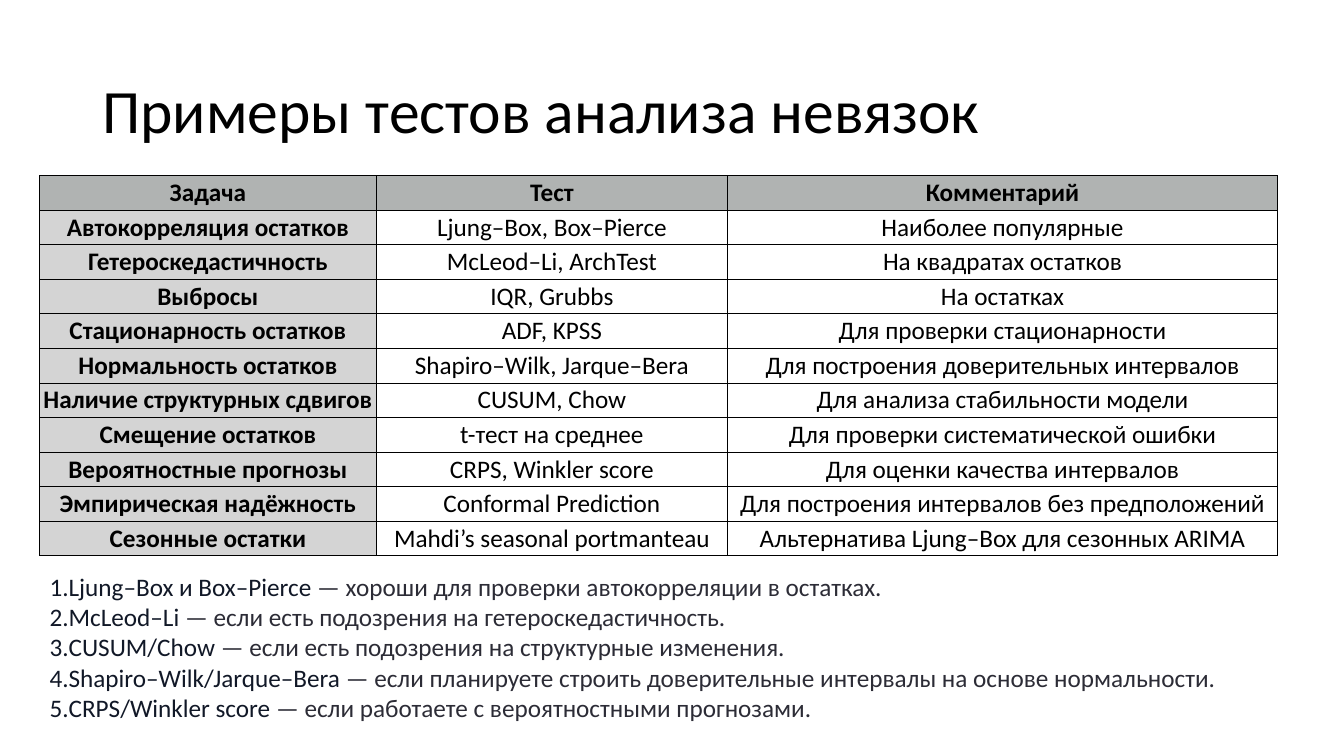
from lxml.etree import SubElement
from pptx import Presentation
from pptx.dml.color import RGBColor
from pptx.enum.text import MSO_ANCHOR, PP_ALIGN
from pptx.oxml.ns import qn
from pptx.util import Cm, Pt

BLACK = RGBColor(0x00, 0x00, 0x00)
HEAD = RGBColor(0xB0, 0xB3, 0xB2)
SIDE = RGBColor(0xD4, 0xD4, 0xD4)
NAVY = RGBColor(0x11, 0x18, 0x27)
GRAY = RGBColor(0x2C, 0x2C, 0x36)

ROWS = [
    ("Задача", "Тест", "Комментарий"),
    ("Автокорреляция остатков", "Ljung–Box, Box–Pierce", "Наиболее популярные"),
    ("Гетероскедастичность", "McLeod–Li, ArchTest", "На квадратах остатков"),
    ("Выбросы", "IQR, Grubbs", "На остатках"),
    ("Стационарность остатков", "ADF, KPSS", "Для проверки стационарности"),
    ("Нормальность остатков", "Shapiro–Wilk, Jarque–Bera", "Для построения доверительных интервалов"),
    ("Наличие структурных сдвигов", "CUSUM, Chow", "Для анализа стабильности модели"),
    ("Смещение остатков", "t-тест на среднее", "Для проверки систематической ошибки"),
    ("Вероятностные прогнозы", "CRPS, Winkler score", "Для оценки качества интервалов"),
    ("Эмпирическая надёжность", "Conformal Prediction", "Для построения интервалов без предположений"),
    ("Сезонные остатки", "Mahdi’s seasonal portmanteau", "Альтернатива Ljung–Box для сезонных ARIMA"),
]
WIDTHS = [8.48, 8.86, 13.85]
NOTES = [
    ("Ljung–Box и Box–Pierce", "хороши для проверки автокорреляции в остатках."),
    ("McLeod–Li", "если есть подозрения на гетероскедастичность."),
    ("CUSUM/Chow", "если есть подозрения на структурные изменения."),
    ("Shapiro–Wilk/Jarque–Bera", "если планируете строить доверительные интервалы на основе нормальности."),
    ("CRPS/Winkler score", "если работаете с вероятностными прогнозами."),
]


def style(para, size, bold=False):
    para.font.name = "Calibri"
    para.font.size = Pt(size)
    para.font.bold = bold
    para.font.color.rgb = BLACK


def border(cell):
    props = cell._tc.get_or_add_tcPr()
    for side in ("lnL", "lnR", "lnT", "lnB"):
        line = SubElement(props, qn("a:" + side), w=str(Pt(0.75)))
        fill = SubElement(line, qn("a:solidFill"))
        SubElement(fill, qn("a:srgbClr"), val=str(BLACK))


deck = Presentation()
deck.slide_width, deck.slide_height = Cm(33.87), Cm(19.05)
slide = deck.slides.add_slide(deck.slide_layouts[6])

# Title
title = slide.shapes.add_textbox(Cm(2.33), Cm(1.01), Cm(29.21), Cm(3.68)).text_frame
title.word_wrap = True
title.vertical_anchor = MSO_ANCHOR.MIDDLE
para = title.paragraphs[0]
para.text = "Примеры тестов анализа невязок"
para.line_spacing = 0.9
style(para, 44)

# Table of tests
high = Cm(0.87)
table = slide.shapes.add_table(
    len(ROWS), len(WIDTHS), Cm(1), Cm(4.43), Cm(sum(WIDTHS)), high * len(ROWS)
).table
table.horz_banding = False
for column, width in zip(table.columns, WIDTHS):
    column.width = Cm(width)
for r, row in enumerate(ROWS):
    table.rows[r].height = high
    for c, text in enumerate(row):
        cell = table.cell(r, c)
        cell.margin_left = cell.margin_right = Cm(0.05)
        cell.margin_top = cell.margin_bottom = Cm(0.05)
        border(cell)
        if r == 0 or c == 0:
            cell.fill.solid()
            cell.fill.fore_color.rgb = HEAD if r == 0 else SIDE
        else:
            cell.fill.background()
        para = cell.text_frame.paragraphs[0]
        para.text = text
        para.alignment = PP_ALIGN.CENTER
        style(para, 18, r == 0 or c == 0)

# Numbered notes
notes = slide.shapes.add_textbox(Cm(1), Cm(14.27), Cm(30.25), Cm(4.11)).text_frame
notes.word_wrap = True
for i, (name, use) in enumerate(NOTES):
    para = notes.add_paragraph() if i else notes.paragraphs[0]
    props = para._p.get_or_add_pPr()
    SubElement(props, qn("a:buFont"), typeface="+mj-lt")
    SubElement(props, qn("a:buAutoNum"), type="arabicPeriod")
    style(para, 18)
    for text, color in ((name + " ", NAVY), ("— " + use, GRAY)):
        run = para.add_run()
        run.text = text
        run.font.color.rgb = color

deck.save("out.pptx")
